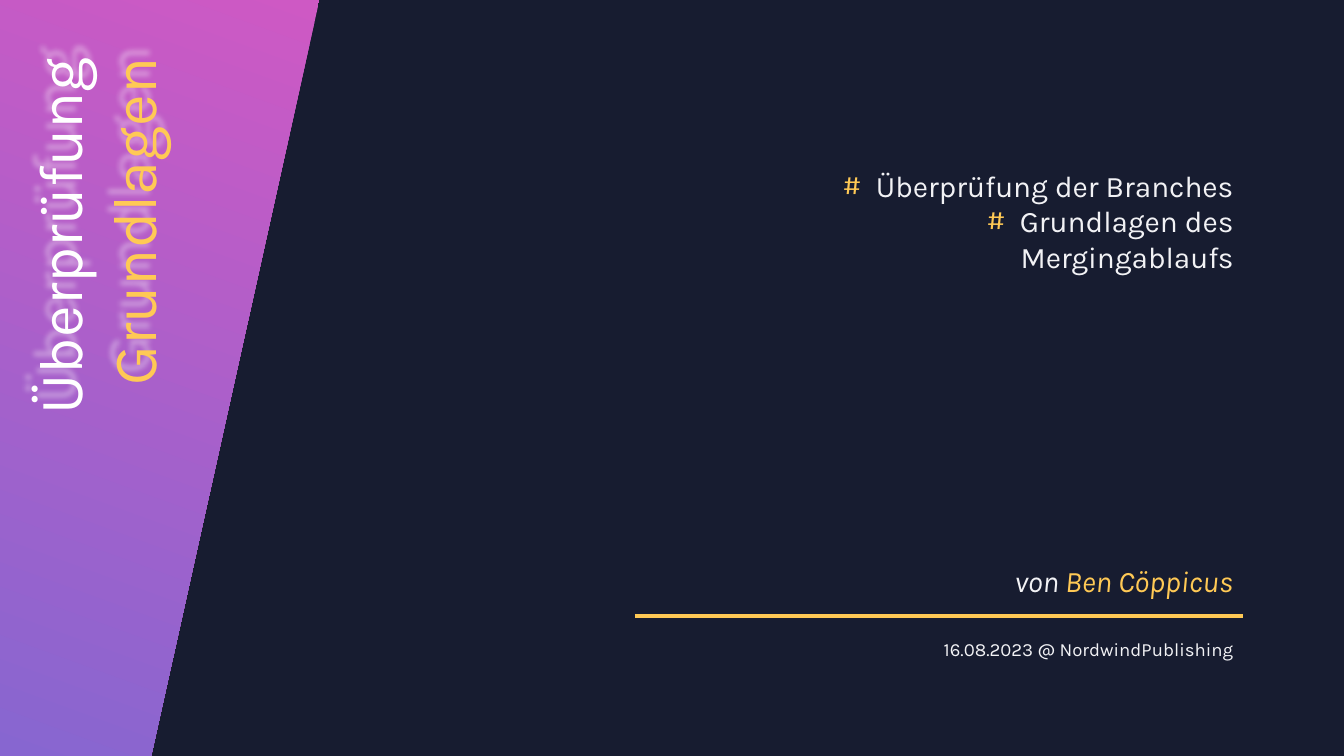
from lxml.etree import SubElement
from pptx import Presentation
from pptx.dml.color import RGBColor
from pptx.enum.shapes import MSO_CONNECTOR
from pptx.enum.text import MSO_ANCHOR, MSO_AUTO_SIZE, PP_ALIGN
from pptx.oxml.ns import qn
from pptx.util import Cm, Pt

NAVY, PINK, VIOLET = "171C30", "CE59C4", "8766D0"
GOLD, PALE, WHITE = "FFC955", "F2F2F5", "FFFFFF"


def colour(value):
    return RGBColor.from_string(value)


def add_node(parent, tag, **attributes):
    return SubElement(parent, qn(tag), attributes)


class SlideBuilder:
    font = "Karla"

    def __init__(self, slide):
        self.slide = slide
        self.shapes = slide.shapes

    def background(self, value):
        fill = self.slide.background.fill
        fill.solid()
        fill.fore_color.rgb = colour(value)

    def gradient_panel(self, points, start, end, angle):
        corners = [(Cm(x), Cm(y)) for x, y in points]
        outline = self.shapes.build_freeform(*corners[0])
        outline.add_line_segments(corners[1:], close=True)
        panel = outline.convert_to_shape()
        panel.shadow.inherit = False
        panel.line.fill.background()
        panel.fill.gradient()
        panel.fill.gradient_angle = angle
        for stop, value in zip(panel.fill.gradient_stops, (start, end)):
            stop.color.rgb = colour(value)
        # Behind the placeholders
        self.shapes._spTree.insert(2, panel._element)

    def fill_box(self, box, position, lines, size, italic=False):
        """Place box and set its text; each line is a list of (text, colour) spans."""
        box.left, box.top, box.width, box.height = map(Cm, position)
        frame = box.text_frame
        frame.word_wrap = True
        frame.auto_size = MSO_AUTO_SIZE.SHAPE_TO_FIT_TEXT
        frame.vertical_anchor = MSO_ANCHOR.TOP
        frame.text = "\n".join(line[0][0] for line in lines)
        for para, line in zip(frame.paragraphs, lines):
            para.alignment = PP_ALIGN.RIGHT
            para.line_spacing = 1.0
            para.space_before = Pt(0)
            for text, _ in line[1:]:
                para.add_run().text = text
            for span, (_, value) in zip(para.runs, line):
                span.font.name = self.font
                span.font.size = Pt(size)
                span.font.italic = italic
                span.font.color.rgb = colour(value)

    def vertical_title(self, position, lines, size):
        title = self.shapes.title
        self.fill_box(title, position, lines, size)
        title.rotation = 270
        effects = add_node(title._element.spPr, "a:effectLst")
        shadow = add_node(effects, "a:outerShdw", blurRad="50800", dist="127000",
                          dir="14400000", algn="ctr", rotWithShape="0")
        white = add_node(shadow, "a:srgbClr", val=WHITE)
        add_node(white, "a:alpha", val="40000")

    def bullet_list(self, position, items, size, bullet, bullet_colour):
        body = self.slide.placeholders[1]
        self.fill_box(body, position, [[(item, PALE)] for item in items], size)
        indent = Cm(0.84)
        for para in body.text_frame.paragraphs:
            properties = para._p.get_or_add_pPr()
            properties.set("marL", str(indent))
            properties.set("indent", str(-indent))
            add_node(add_node(properties, "a:buClr"), "a:srgbClr", val=bullet_colour)
            add_node(properties, "a:buFont", typeface=self.font)
            add_node(properties, "a:buChar", char=bullet)

    def text(self, position, spans, size, italic=False):
        box = self.shapes.add_textbox(*map(Cm, position))
        self.fill_box(box, position, [spans], size, italic)

    def rule(self, left, right, top, value, width):
        line = self.shapes.add_connector(
            MSO_CONNECTOR.STRAIGHT, Cm(left), Cm(top), Cm(right), Cm(top))
        line.line.color.rgb = colour(value)
        line.line.width = Pt(width)
        add_node(line._element.spPr, "a:effectLst")


def main():
    deck = Presentation()
    deck.slide_width, deck.slide_height = Cm(33.87), Cm(19.05)
    page = SlideBuilder(deck.slides.add_slide(deck.slide_layouts[1]))

    page.background(NAVY)
    page.gradient_panel([(0, 0), (8.05, 0), (3.81, 19.05), (0, 19.05)],
                        PINK, VIOLET, angle=250)
    page.vertical_title((-5.92, 7.52, 16.66, 4.01),
                        [[("Überprüfung", WHITE)], [("Grundlagen", GOLD)]], 44)
    page.bullet_list((20.75, 4.09, 10.59, 3),
                     ["Überprüfung der Branches", "Grundlagen des Mergingablaufs"],
                     21.3, "#", GOLD)
    page.rule(16, 31.32, 15.52, GOLD, 3)
    page.text((20.04, 14.05, 11.28, 1.17),
              [("von ", PALE), ("Ben Cöppicus", GOLD)], 21.3, italic=True)
    page.text((18.49, 15.95, 12.85, 0.84),
              [("16.08.2023 @ NordwindPublishing", PALE)], 13.3)

    deck.save("out.pptx")


if __name__ == "__main__":
    main()
